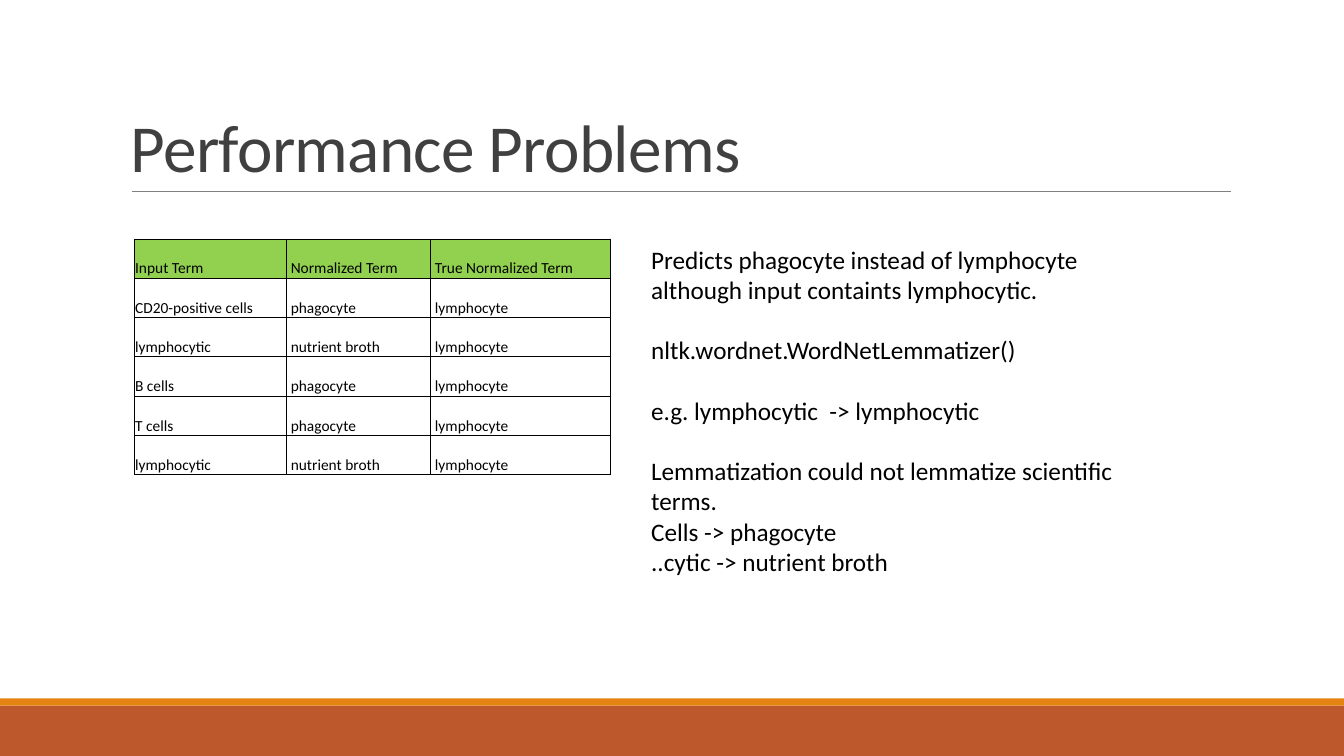
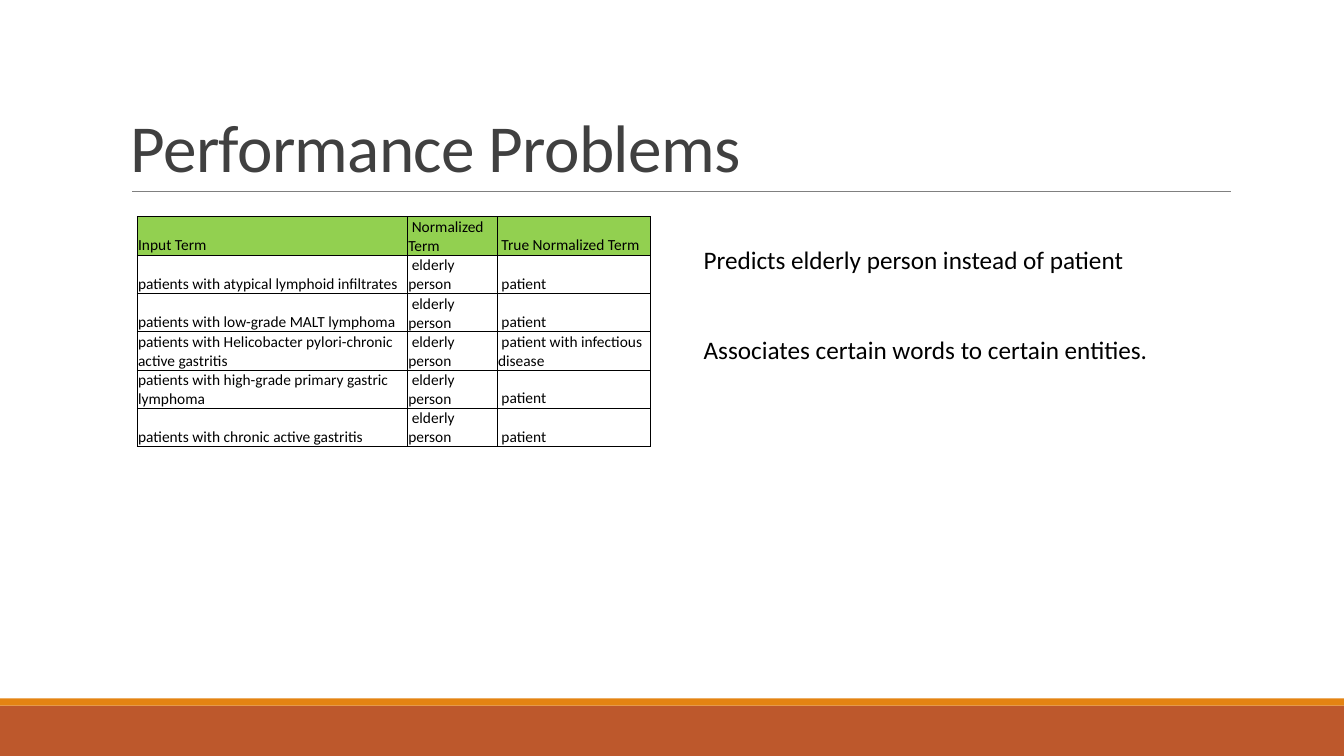
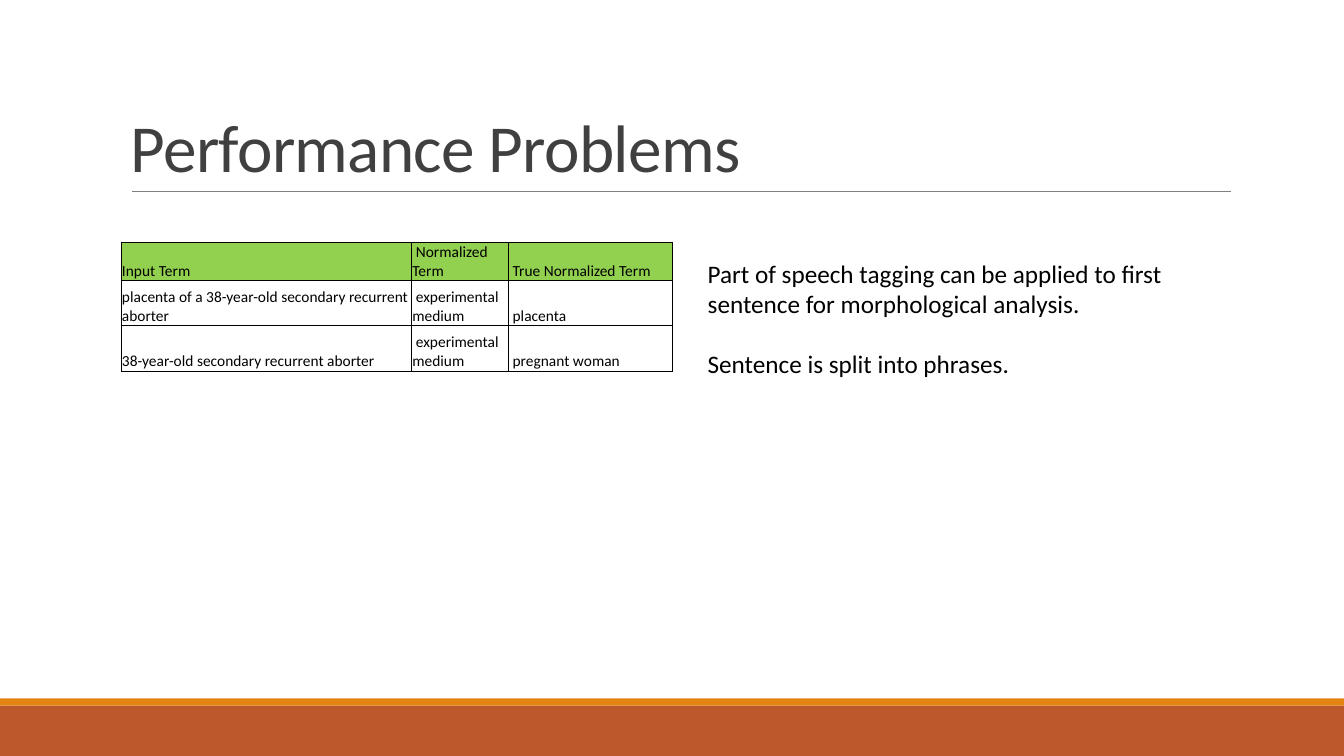
import pptx
import pptx.dml.color
import pptx.enum.shapes
import pptx.enum.text
import pptx.oxml
import pptx.oxml.ns
import pptx.util

Inches = pptx.util.Inches
Pt = pptx.util.Pt
RGBColor = pptx.dml.color.RGBColor
BOTTOM = pptx.enum.text.MSO_ANCHOR.BOTTOM

RUST = RGBColor(0xBD, 0x58, 0x2C)
ORANGE = RGBColor(0xE4, 0x83, 0x12)
GREEN = RGBColor(0x92, 0xD0, 0x50)
GRAY = RGBColor(0x80, 0x80, 0x80)
CHARCOAL = RGBColor(0x40, 0x40, 0x40)
BLACK = RGBColor(0, 0, 0)

WIDTH, HEIGHT = 13.33, 7.5
TITLE = "Performance Problems"
HEADER = ("Input Term", "Normalized Term", "True Normalized Term")
BANDS = [(7, 0.5, RUST), (6.93, 0.07, ORANGE)]  # top, height, colour
NOTE_LINE = 21.6  # points

TITLE_FONT = {"name": "Calibri", "size": Pt(48)}
CELL_FONT = {"name": "Calibri", "size": Pt(11)}
NOTE_FONT = {"name": "Calibri", "size": Pt(18)}
CELL_FORMAT = {
    "vertical_anchor": BOTTOM, "margin_left": Inches(0.01),
    "margin_right": Inches(0.01), "margin_top": Inches(0.01), "margin_bottom": 0,
}

# Each note is (empty lines above it, text).
SLIDES = [
    {
        "table_at": (1.33, 2.37),
        "columns": (1.51, 1.43, 1.78),
        "rows": [0.39] * 6,
        "terms": [
            ("CD20-positive cells", "phagocyte", "lymphocyte"),
            ("lymphocytic", "nutrient broth", "lymphocyte"),
            ("B cells", "phagocyte", "lymphocyte"),
            ("T cells", "phagocyte", "lymphocyte"),
            ("lymphocytic", "nutrient broth", "lymphocyte"),
        ],
        "notes_at": (6.36, 2.37, 5.17, 3.43),
        "notes": [
            (0, "Predicts phagocyte instead of lymphocyte although input containts lymphocytic."),
            (1, "nltk.wordnet.WordNetLemmatizer()"),
            (1, "e.g. lymphocytic  -> lymphocytic"),
            (1, "Lemmatization could not lemmatize scientific terms."),
            (0, "Cells -> phagocyte"),
            (0, "..cytic -> nutrient broth"),
        ],
    },
    {
        "table_at": (1.36, 2.15),
        "columns": (2.68, 0.89, 1.52),
        "rows": [0.38] * 6,
        "terms": [
            ("patients with atypical lymphoid infiltrates", "elderly person", "patient"),
            ("patients with low-grade MALT lymphoma", "elderly person", "patient"),
            ("patients with Helicobacter pylori-chronic active gastritis",
             "elderly person", "patient with infectious disease"),
            ("patients with high-grade primary gastric lymphoma", "elderly person", "patient"),
            ("patients with chronic active gastritis", "elderly person", "patient"),
        ],
        "notes_at": (6.88, 2.37, 4.72, 1.31),
        "notes": [
            (0, "Predicts elderly person instead of patient"),
            (2, "Associates certain words to certain entities."),
        ],
    },
    {
        "table_at": (1.2, 2.4),
        "columns": (2.88, 0.96, 1.63),
        "rows": [0.38, 0.45, 0.45],
        "terms": [
            ("placenta of a 38-year-old secondary recurrent aborter",
             "experimental medium", "placenta"),
            ("38-year-old secondary recurrent aborter", "experimental medium", "pregnant woman"),
        ],
        "notes_at": (6.92, 2.51, 5.28, 2.22),
        "notes": [
            (0, "Part of speech tagging can be applied to first sentence for morphological analysis."),
            (1, "Sentence is split into phrases."),
        ],
    },
]


def apply_format(target, values):
    for name, value in values.items():
        setattr(target, name, value)


def add_run(paragraph, text, font, color):
    run = paragraph.add_run()
    run.text = text
    apply_format(run.font, font)
    run.font.color.rgb = color
    return run


def add_text_frame(slide, box):
    frame = slide.shapes.add_textbox(*map(Inches, box)).text_frame
    frame.word_wrap = True
    return frame


def add_frame(slide):
    """Draw the bands, rule and title that all slides share."""
    for top, height, color in BANDS:
        band = slide.shapes.add_shape(
            pptx.enum.shapes.MSO_SHAPE.RECTANGLE,
            0, Inches(top), Inches(WIDTH), Inches(height))
        band.shadow.inherit = False
        band.fill.solid()
        band.fill.fore_color.rgb = color
        band.line.fill.background()

    rule = slide.shapes.add_connector(
        pptx.enum.shapes.MSO_CONNECTOR.STRAIGHT,
        Inches(1.31), Inches(1.9), Inches(12.21), Inches(1.9))
    rule.line.color.rgb = GRAY
    rule.line.width = Pt(0.5)
    properties = rule._element.spPr
    properties.append(properties.makeelement(pptx.oxml.ns.qn("a:effectLst"), {}))

    frame = add_text_frame(slide, (1.2, 0.31, 11, 1.59))
    frame.vertical_anchor = BOTTOM
    paragraph = frame.paragraphs[0]
    paragraph.line_spacing = 0.85
    run = add_run(paragraph, TITLE, TITLE_FONT, CHARCOAL)
    run.font._element.set("spc", "-50")


def add_borders(cell):
    properties = cell._tc.get_or_add_tcPr()
    for side in "LRTB":
        properties.append(pptx.oxml.parse_xml(
            f'<a:ln{side} {pptx.oxml.ns.nsdecls("a")} w="{Pt(0.5)}">'
            f'<a:solidFill><a:srgbClr val="{BLACK}"/></a:solidFill></a:ln{side}>'))


def add_term_table(slide, origin, columns, rows, terms):
    size = sum(columns), sum(rows)
    table = slide.shapes.add_table(
        len(rows), len(columns), *map(Inches, origin + size)).table
    table.first_row = table.horz_banding = False
    for column, width in zip(table.columns, columns):
        column.width = Inches(width)
    for row, height in zip(table.rows, rows):
        row.height = Inches(height)

    for row_index, texts in enumerate([HEADER] + terms):
        for column_index, text in enumerate(texts):
            cell = table.cell(row_index, column_index)
            apply_format(cell, CELL_FORMAT)
            add_borders(cell)
            if row_index == 0:
                cell.fill.solid()
                cell.fill.fore_color.rgb = GREEN
            else:
                cell.fill.background()
            lead = " " if column_index else ""
            add_run(cell.text_frame.paragraphs[0], lead + text, CELL_FONT, BLACK)


def add_notes(slide, box, notes):
    frame = add_text_frame(slide, box)
    for index, (gap_lines, text) in enumerate(notes):
        paragraph = frame.add_paragraph() if index else frame.paragraphs[0]
        paragraph.space_before = Pt(gap_lines * NOTE_LINE)
        add_run(paragraph, text, NOTE_FONT, BLACK)


def main():
    presentation = pptx.Presentation()
    presentation.slide_width = Inches(WIDTH)
    presentation.slide_height = Inches(HEIGHT)
    for content in SLIDES:
        slide = presentation.slides.add_slide(presentation.slide_layouts[6])
        add_frame(slide)
        add_term_table(slide, content["table_at"], content["columns"],
                       content["rows"], content["terms"])
        add_notes(slide, content["notes_at"], content["notes"])
    presentation.save("out.pptx")


if __name__ == "__main__":
    main()
